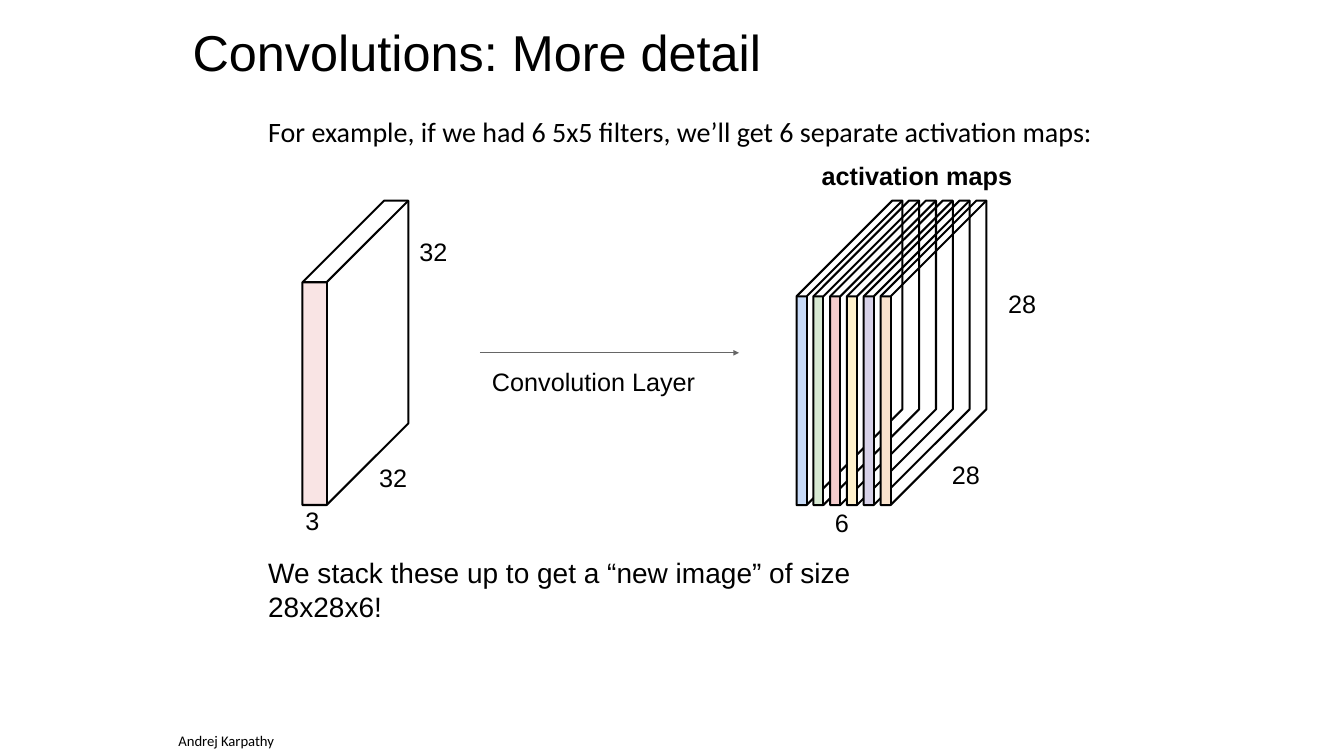
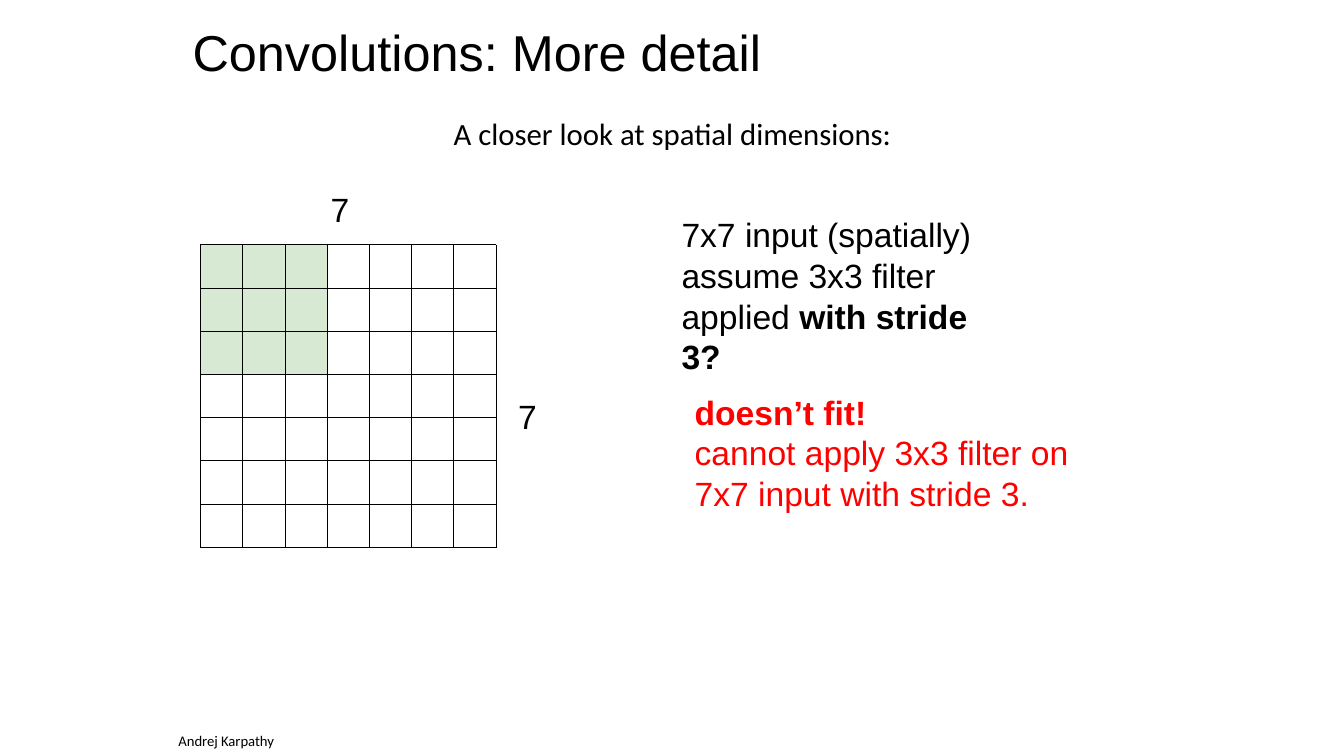
"""Build two slides on convolution activation maps and spatial dimensions."""
from lxml.etree import SubElement
from pptx import Presentation
from pptx.dml.color import RGBColor
from pptx.enum.shapes import MSO_CONNECTOR as Connector
from pptx.oxml.ns import qn
from pptx.util import Inches, Pt

BLACK = RGBColor(0x00, 0x00, 0x00)
GREY = RGBColor(0x66, 0x66, 0x66)
RED = RGBColor(0xFF, 0x00, 0x00)
PALE_PINK = RGBColor(0xF9, 0xE4, 0xE4)
GREEN = RGBColor(0xD7, 0xE9, 0xD2)
MAP_COLOURS = [
    RGBColor(0xC7, 0xDA, 0xF7),
    GREEN,
    RGBColor(0xF4, 0xCC, 0xCC),
    RGBColor(0xFF, 0xF1, 0xCC),
    RGBColor(0xD7, 0xD1, 0xE8),
    RGBColor(0xFA, 0xE3, 0xCD),
]
BODY_FONT = "Arial"
NOTE_FONT = "Calibri"
SLAB_BOTTOM = 5.01
MAP_PITCH = 1 / 6
GRID_SIZE = 7
FILTER_SIZE = 3


def add_text(slide, left, top, width, height, paragraphs, size, font=BODY_FONT,
             colour=BLACK, spacing=None):
    """Add a text box whose paragraphs are lists of (text, bold) runs."""
    box = slide.shapes.add_textbox(
        Inches(left), Inches(top), Inches(width), Inches(height))
    frame = box.text_frame
    frame.margin_left = frame.margin_right = 0
    frame.margin_top = frame.margin_bottom = 0
    frame.word_wrap = True
    for index, runs in enumerate(paragraphs):
        paragraph = frame.add_paragraph() if index else frame.paragraphs[0]
        if spacing:
            paragraph.line_spacing = spacing
        for text, bold in runs:
            run = paragraph.add_run()
            run.text = text
            run.font.name = font
            run.font.size = Pt(size)
            run.font.bold = bold
            run.font.color.rgb = colour


def add_label(slide, left, top, width, text, size=18, font=BODY_FONT, bold=False):
    """Add a single line of text."""
    add_text(slide, left, top, width, size / 60, [[(text, bold)]], size, font)


def add_base_slide(presentation):
    """Add a blank slide with the shared title and footer."""
    slide = presentation.slides.add_slide(presentation.slide_layouts[6])
    add_label(slide, 1.91, 0.21, 6, "Convolutions: More detail", 36)
    add_label(slide, 1.77, 7.26, 1.2, "Andrej Karpathy", 10.5, NOTE_FONT)
    return slide


def add_outline(slide, contours):
    """Add one freeform made of (points, closed) contours in inches."""
    first_points = contours[0][0]
    builder = slide.shapes.build_freeform(*map(Inches, first_points[0]))
    for index, (points, closed) in enumerate(contours):
        start, *rest = [(Inches(x), Inches(y)) for x, y in points]
        if index:
            builder.move_to(*start)
        builder.add_line_segments(rest, close=closed)
    shape = builder.convert_to_shape()
    shape.shadow.inherit = False
    return shape


def add_slab(slide, left, top, width, depth, colour):
    """Add a see-through slab with a coloured front face."""
    right = left + width
    back_top = top - depth
    back_right = right + depth
    face = [(left, top), (right, top), (right, SLAB_BOTTOM), (left, SLAB_BOTTOM)]
    front = add_outline(slide, [(face, True)])
    front.fill.solid()
    front.fill.fore_color.rgb = colour
    front.line.fill.background()

    silhouette = [
        (left, top), (left + depth, back_top), (back_right, back_top),
        (back_right, SLAB_BOTTOM - depth), (right, SLAB_BOTTOM), (left, SLAB_BOTTOM),
    ]
    top_edge = [(left, top), (right, top), (back_right, back_top)]
    side_edge = [(right, top), (right, SLAB_BOTTOM)]
    edges = add_outline(
        slide, [(silhouette, True), (top_edge, False), (side_edge, False)])
    edges.fill.background()
    edges.line.color.rgb = BLACK
    edges.line.width = Pt(1.44)


def add_arrow(slide, left, right, y):
    """Add a thin horizontal arrow."""
    arrow = slide.shapes.add_connector(
        Connector.STRAIGHT, Inches(left), Inches(y), Inches(right), Inches(y))
    arrow.line.color.rgb = GREY
    arrow.line.width = Pt(0.72)
    SubElement(arrow.line._get_or_add_ln(), qn("a:tailEnd"),
               type="triangle", w="sm", len="sm")
    SubElement(arrow._element.spPr, qn("a:effectLst"))


def add_cell_borders(cell):
    """Draw thin black borders on all sides of a cell."""
    properties = cell._tc.get_or_add_tcPr()
    for index, side in enumerate(("lnL", "lnR", "lnT", "lnB")):
        line = properties.makeelement(qn(f"a:{side}"), {"w": str(Pt(0.75))})
        fill = SubElement(line, qn("a:solidFill"))
        SubElement(fill, qn("a:srgbClr"), val=str(BLACK))
        properties.insert(index, line)


def add_input_grid(slide, left, top, width, height):
    """Add the input grid with the filter area shaded."""
    table = slide.shapes.add_table(
        GRID_SIZE, GRID_SIZE, Inches(left), Inches(top),
        Inches(width), Inches(height)).table
    table.first_row = False
    table.horz_banding = False
    for row in range(GRID_SIZE):
        for column in range(GRID_SIZE):
            cell = table.cell(row, column)
            if max(row, column) < FILTER_SIZE:
                cell.fill.solid()
                cell.fill.fore_color.rgb = GREEN
            else:
                cell.fill.background()
            add_cell_borders(cell)


def build_activation_maps(presentation):
    """Build the slide that stacks six activation maps."""
    slide = add_base_slide(presentation)
    add_label(slide, 2.66, 1.14, 8.6,
              "For example, if we had 6 5x5 filters, we’ll get 6 separate activation maps:",
              20, NOTE_FONT)
    add_slab(slide, 3, 2.8, 0.24, 0.81, PALE_PINK)
    for index, colour in enumerate(MAP_COLOURS):
        add_slab(slide, 7.9 + index * MAP_PITCH, 2.94, 0.1, 0.95, colour)
    add_arrow(slide, 4.76, 7.33, 3.5)
    for left, top, width, text in [
        (4.16, 2.34, 0.4, "32"),
        (3.76, 4.59, 0.4, "32"),
        (3.03, 5.01, 0.2, "3"),
        (4.88, 3.63, 2.2, "Convolution Layer"),
        (10, 2.86, 0.4, "28"),
        (9.44, 4.56, 0.4, "28"),
        (8.28, 5.03, 0.2, "6"),
    ]:
        add_label(slide, left, top, width, text)
    add_label(slide, 8.15, 1.59, 2.2, "activation maps", bold=True)
    add_text(slide, 2.66, 5.51, 6.5, 0.65,
             [[("We stack these up to get a “new image” of size 28x28x6!", False)]],
             20)


def build_spatial_dimensions(presentation):
    """Build the slide on stride and spatial size."""
    slide = add_base_slide(presentation)
    add_label(slide, 4.5, 1.14, 4.7, "A closer look at spatial dimensions:",
              22, NOTE_FONT)
    add_input_grid(slide, 1.99, 2.43, 2.93, 3)
    add_label(slide, 3.28, 1.87, 0.3, "7", 24)
    add_label(slide, 5.14, 3.93, 0.3, "7", 24)
    add_text(slide, 6.76, 2.12, 3.1, 1.6,
             [[("7x7 input (spatially) assume 3x3 filter applied ", False),
               ("with stride 3?", True)]],
             24, spacing=1.01)
    add_text(slide, 6.89, 3.88, 3.8, 1.22,
             [[("doesn’t fit!", True)],
              [("cannot apply 3x3 filter on 7x7 input with stride 3.", False)]],
             24, colour=RED, spacing=1.01)


def main():
    """Create and save the presentation."""
    presentation = Presentation()
    presentation.slide_width = Inches(13.33)
    presentation.slide_height = Inches(7.5)
    build_activation_maps(presentation)
    build_spatial_dimensions(presentation)
    presentation.save("out.pptx")


if __name__ == "__main__":
    main()
